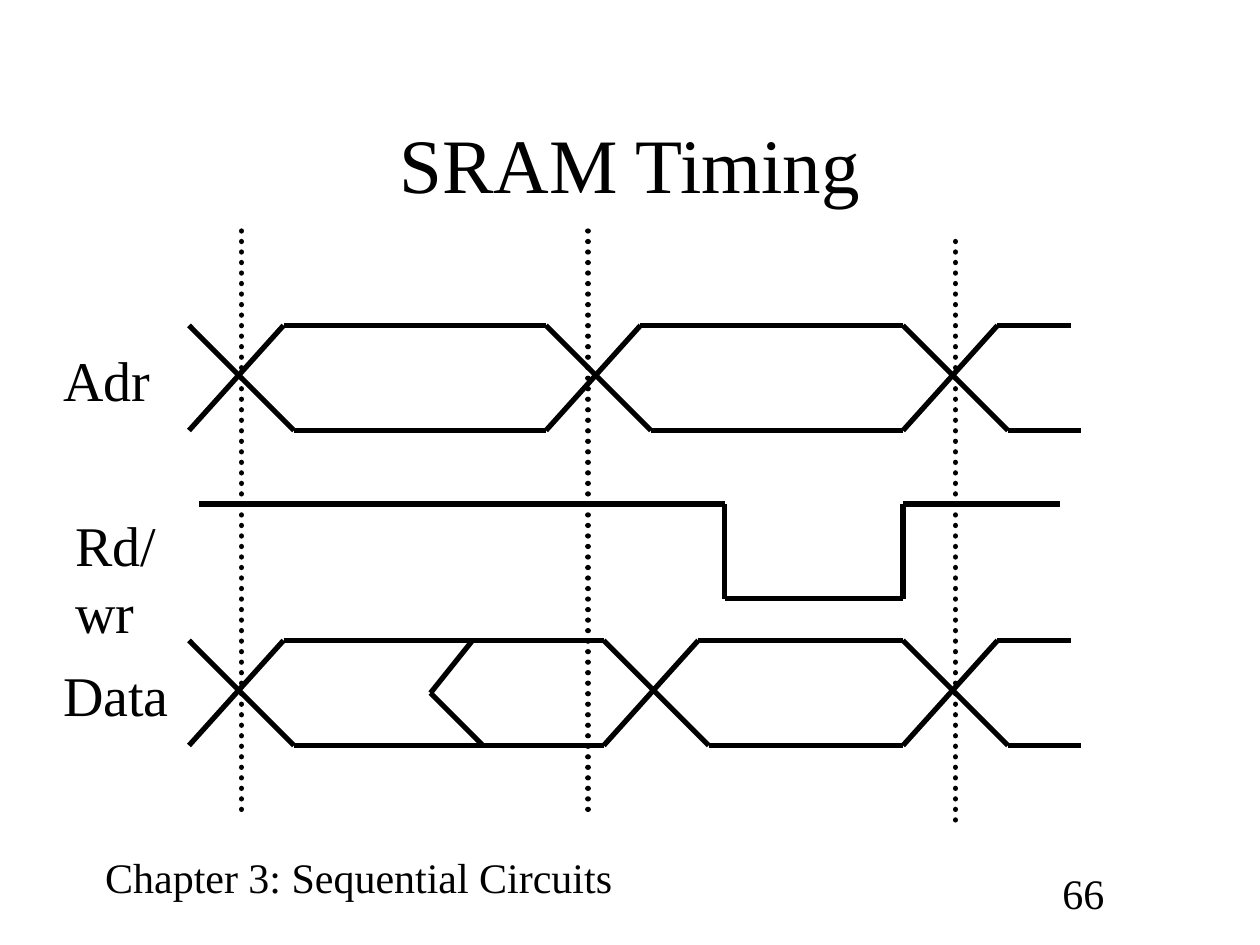
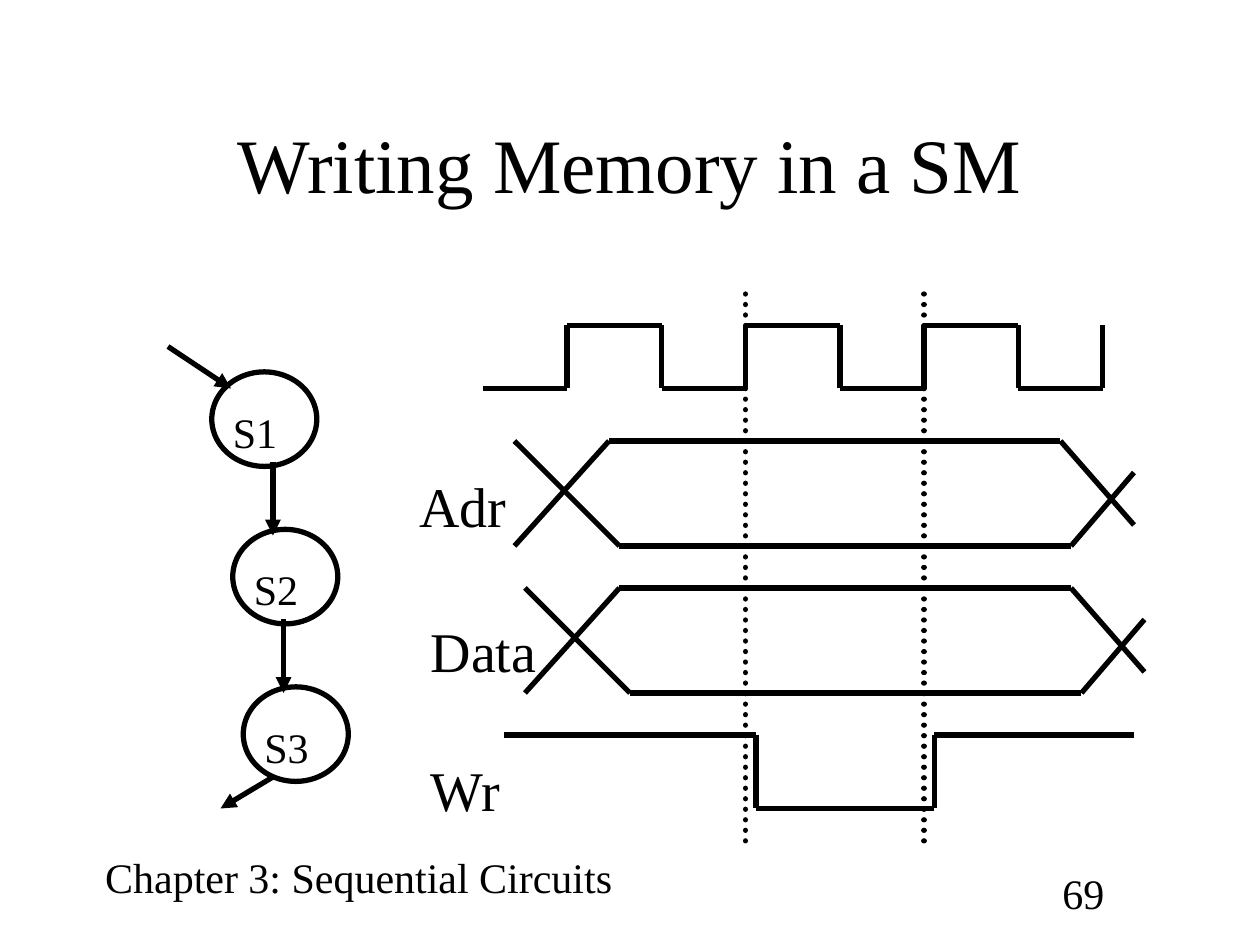
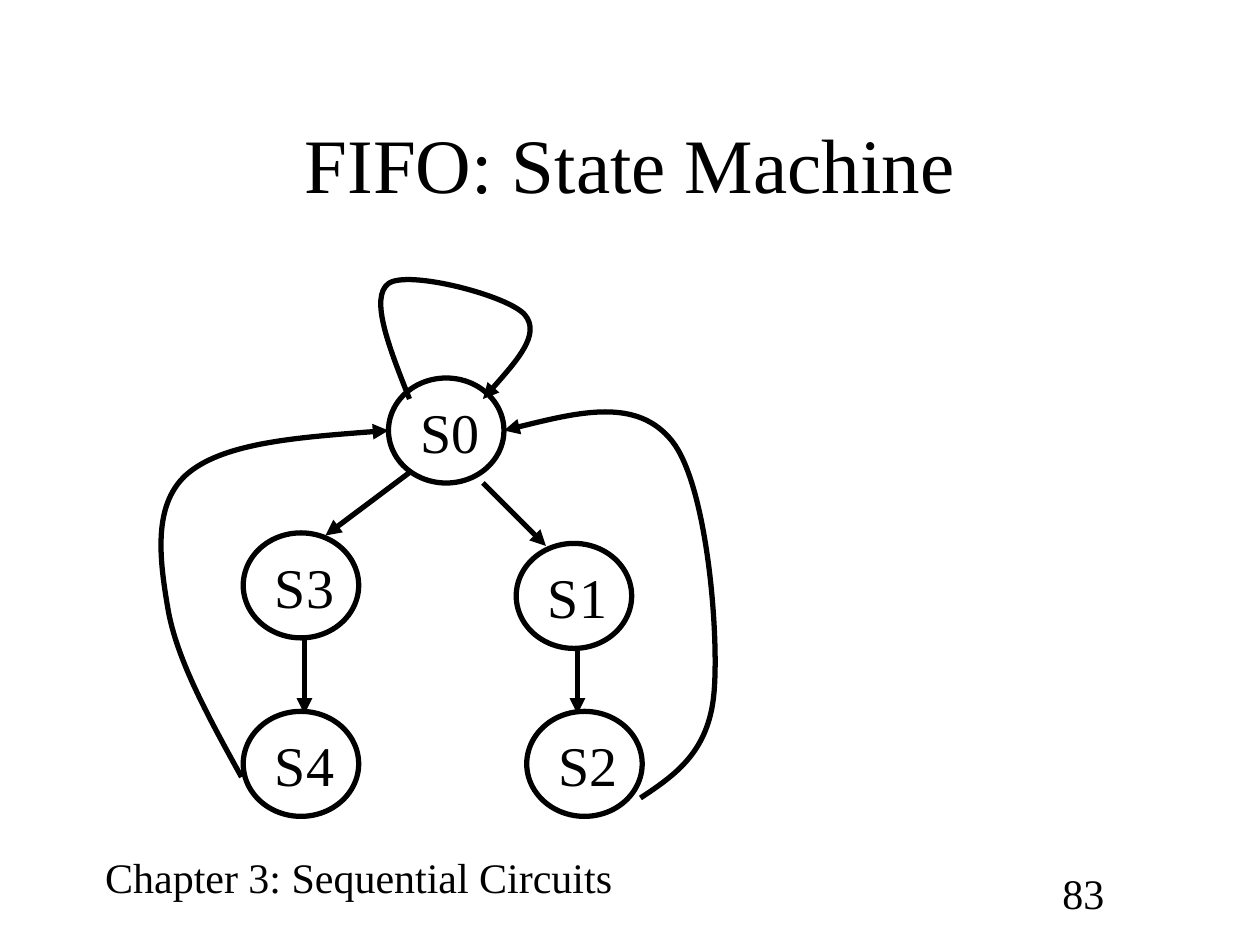
from lxml.etree import SubElement
from pptx import Presentation
from pptx.dml.color import RGBColor
from pptx.enum.dml import MSO_LINE
from pptx.enum.shapes import MSO_CONNECTOR, MSO_SHAPE
from pptx.enum.text import MSO_ANCHOR, PP_ALIGN
from pptx.oxml.ns import qn
from pptx.util import Pt

BLACK = RGBColor(0x00, 0x00, 0x00)
FONT = "Times New Roman"
FOOTER = "Chapter 3: Sequential Circuits"
LABEL_WIDTHS = {"Adr": 64, "Data": 75, "Rd/wr": 94, "Wr": 55}
BUS_HEIGHT = 60
FALL, RISE = 60, 54  # horizontal run of a bus edge


def bus(top, crossings, tail):
    """Two mirrored traces that swap levels at each crossing."""
    traces = []
    for is_low in (False, True):
        trace = []
        for x in crossings:
            trace.append((x, top + BUS_HEIGHT * is_low))
            x += RISE if is_low else FALL
            is_low = not is_low
            trace.append((x, top + BUS_HEIGHT * is_low))
        traces.append(trace + [(x + tail, trace[-1][1])])
    return traces


def write_bus(left, top):
    """A long bus cycle cut off in the middle of its closing crossing."""
    traces = bus(top, [left], tail=258)
    for trace, drop in zip(traces, (18, 48)):
        trace.append((left + 354, top + drop))
    return traces


def square_wave(left, edges, right, levels):
    """Trace that starts at the first of two levels and swaps at every edge."""
    points = [(left, levels[0])]
    for index, x in enumerate(edges):
        points += [(x, levels[index % 2]), (x, levels[(index + 1) % 2])]
    return points + [(right, points[-1][1])]


CLOCK_EDGES = [rise + run for rise in range(324, 600, 102) for run in (0, 54)] + [630]

SLIDES = [
    {
        "title": "SRAM Timing",
        "number": "66",
        "traces": [
            *bus(186, [108, 312, 516], tail=42),
            square_wave(114, [414, 516], 606, levels=(288, 342)),
            *bus(366, [108, 345, 516], tail=42),
            [(270, 366), (246, 396), (276, 426)],
        ],
        "markers": [(138, 132, 468), (336, 132, 468), (546, 138, 474)],
        "labels": [("Adr", 29, 194), ("Rd/wr", 36, 288), ("Data", 29, 374)],
    },
    {
        "title": "Writing Memory in a SM",
        "number": "69",
        "states": [("S1", 121, 212.5), ("S2", 133, 302.5), ("S3", 139, 392.5)],
        "state_style": {"size": (60, 54), "offset": (5, 16), "label": (40, 36), "font": 24},
        "arrows": [
            [(96, 198), (132, 222)],
            [(156, 264), (156, 306)],
            [(162, 354), (162, 396)],
            [(156, 444), (126, 462)],
        ],
        "traces": [
            square_wave(276, CLOCK_EDGES, CLOCK_EDGES[-1], levels=(222, 186)),
            *write_bus(294, 252),
            *write_bus(300, 336),
            square_wave(288, [432, 534], 648, levels=(420, 462)),
        ],
        "markers": [(x, 168, 486) for x in CLOCK_EDGES[2:5:2]],
        "labels": [("Adr", 232.5, 266), ("Data", 239, 349), ("Wr", 239, 428)],
    },
    {
        "title": "FIFO: State Machine",
        "number": "83",
        "states": [
            ("S0", 222, 216),
            ("S1", 295, 310.5),
            ("S3", 139, 304.5),
            ("S4", 139, 406.5),
            ("S2", 301, 406.5),
        ],
        "state_style": {"size": (66, 60), "offset": (11, 7.5), "label": (48, 46), "font": 32},
        "arrows": [
            [(276, 276), (312, 312)],
            [(330, 372), (330, 408)],
            [(234, 270), (186, 306)],
            [(174, 366), (174, 408)],
        ],
        "curves": [
            [(138, 444), (96, 348), (108, 270), (222, 246)],
            [(366, 456), (408, 396), (384, 252), (288, 246)],
            [(234, 228), (222, 162), (300, 180), (276, 228)],
        ],
    },
]


def add_text(page, text, left, top, width, height, size=32, align=PP_ALIGN.LEFT,
             anchor=MSO_ANCHOR.TOP, wrap=False):
    box = page.shapes.add_textbox(*map(Pt, (left, top, width, height)))
    frame = box.text_frame
    frame.word_wrap = wrap
    frame.vertical_anchor = anchor
    para = frame.paragraphs[0]
    para.alignment = align
    span = para.add_run()
    span.text = text
    span.font.name = FONT
    span.font.size = Pt(size)
    span.font.color.rgb = BLACK


def set_outline(shape, arrow=False, dotted=False):
    shape.line.color.rgb = BLACK
    shape.line.width = Pt(3)
    if dotted:
        shape.line.dash_style = MSO_LINE.ROUND_DOT
    outline = shape.element.spPr.find(qn("a:ln"))
    if dotted:
        outline.set("cap", "rnd")
    if arrow:
        SubElement(outline, qn("a:tailEnd"), type="triangle")


def add_line(page, start, end, **style):
    line = page.shapes.add_connector(MSO_CONNECTOR.STRAIGHT, *map(Pt, start + end))
    set_outline(line, **style)
    SubElement(line.element.spPr, qn("a:effectLst"))


def add_trace(page, points):
    for start, end in zip(points, points[1:]):
        if start != end:
            add_line(page, start, end)


def middle(a, b):
    return (a[0] + b[0]) / 2, (a[1] + b[1]) / 2


def smooth_path(knots):
    """Handles and ends of the cubic pieces that run smoothly through the knots."""
    before, after = {}, {}
    for i in range(1, len(knots) - 1):
        (x0, y0), (x, y), (x1, y1) = knots[i - 1:i + 2]
        dx, dy = (x1 - x0) / 6, (y1 - y0) / 6
        before[i], after[i] = (x - dx, y - dy), (x + dx, y + dy)
    last = len(knots) - 1
    after[0] = middle(knots[0], before[1])
    before[last] = middle(after[last - 1], knots[last])
    return [point for i in range(last) for point in (after[i], before[i + 1], knots[i + 1])]


def add_curve(page, knots):
    start, *rest = [(Pt(x), Pt(y)) for x, y in [knots[0], *smooth_path(knots)]]
    builder = page.shapes.build_freeform(*start)
    builder.add_line_segments(rest, close=False)
    curve = builder.convert_to_shape()
    curve.shadow.inherit = False
    curve.fill.background()
    set_outline(curve, arrow=True)
    outline = next(curve.element.iter(qn("a:path")))
    segments = outline.findall(qn("a:lnTo"))
    for first in range(0, len(segments), 3):
        piece = SubElement(outline, qn("a:cubicBezTo"))
        for segment in segments[first:first + 3]:
            piece.append(segment[0])
            outline.remove(segment)


def add_state(page, name, left, top, style):
    circle = page.shapes.add_shape(MSO_SHAPE.OVAL, Pt(left), Pt(top), *map(Pt, style["size"]))
    circle.shadow.inherit = False
    circle.fill.background()
    set_outline(circle)
    dx, dy = style["offset"]
    add_text(page, name, left + dx, top + dy, *style["label"], size=style["font"])


def add_page(deck, content):
    page = deck.slides.add_slide(deck.slide_layouts[6])
    add_text(page, FOOTER, 53, 483, 322, 36, size=24)
    add_text(page, content["number"], 600, 492, 66, 36, size=24, wrap=True)
    add_text(page, content["title"], 54, 48, 612, 90, size=44, align=PP_ALIGN.CENTER,
             anchor=MSO_ANCHOR.MIDDLE, wrap=True)
    for name, left, top in content.get("states", []):
        add_state(page, name, left, top, content["state_style"])
    for start, end in content.get("arrows", []):
        add_line(page, start, end, arrow=True)
    for knots in content.get("curves", []):
        add_curve(page, knots)
    for points in content.get("traces", []):
        add_trace(page, points)
    for x, top, bottom in content.get("markers", []):
        add_line(page, (x, top), (x, bottom), dotted=True)
    for text, left, top in content.get("labels", []):
        add_text(page, text, left, top, LABEL_WIDTHS[text], 46)


def main():
    deck = Presentation()
    deck.slide_width, deck.slide_height = Pt(720), Pt(540)
    for content in SLIDES:
        add_page(deck, content)
    deck.save("out.pptx")


if __name__ == "__main__":
    main()
